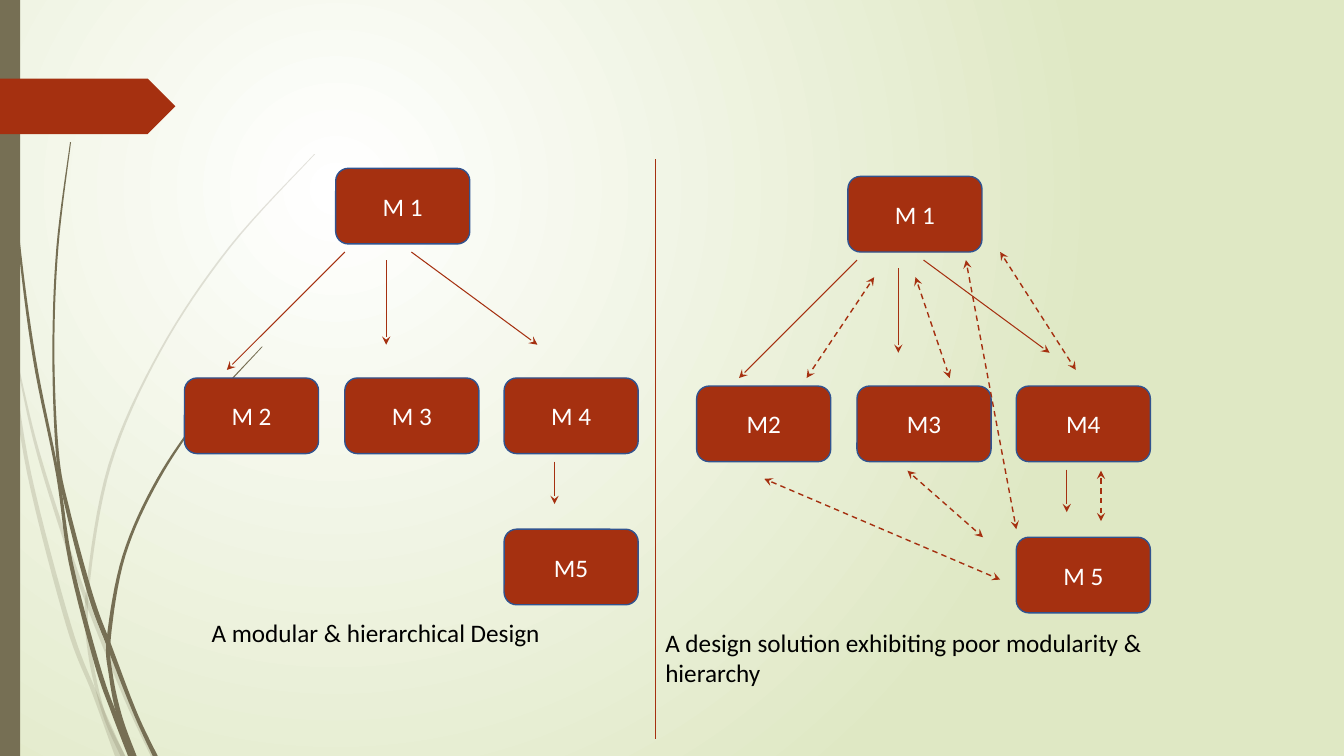
from pptx import Presentation
from pptx.util import Inches, Pt
from pptx.dml.color import RGBColor as RGB
from pptx.enum.dml import MSO_LINE as Dash
from pptx.enum.shapes import MSO_SHAPE as Shape, MSO_CONNECTOR as Conn
from pptx.enum.text import PP_ALIGN as Align, MSO_ANCHOR as Anchor
from pptx.oxml.ns import qn
from lxml.etree import SubElement as Sub

COLORS = {"rust": "A53010", "olive": "766F54", "edge": "31538F",
          "white": "FFFFFF", "black": "000000", "sage": "DFE8C4"}
FONT = "Calibri"

# Both panels share one tree: offset, box labels, caption and its box
PANELS = [
    ((0, 0), ["M 1", "M 2", "M 3", "M 4", "M5"],
     "A modular & hierarchical Design", (2, 6.08, 4, 0.4)),
    ((5.08, 0.08), ["M 1", "M2", "M3", "M4", "M 5"],
     "A design solution exhibiting poor modularity & hierarchy",
     (6.5, 6.17, 5.33, 0.71)),
]
BOX = (1.33, 0.75)
SPOTS = [(3.33, 1.67), (1.83, 3.75), (3.42, 3.75), (5, 3.75), (5, 5.25)]
CALLS = [(3.42, 2.5, 2.25, 3.67), (3.83, 2.58, 3.83, 3.42),
         (4.08, 2.5, 5.33, 3.42), (5.5, 4.58, 5.5, 5)]
# Extra two-way links of the poor design
LINKS = [(7.58, 4.75, 9.92, 5.75), (9, 4.67, 9.75, 5.33),
         (10.92, 4.67, 10.92, 5.17), (9.58, 2.58, 10.08, 5.25),
         (8.67, 2.75, 8, 3.75), (9.08, 2.75, 9.42, 3.75),
         (9.92, 2.5, 10.67, 3.67)]

# Grass blades: opacity in percent, then centre x, y and width down the blade
BLADES = [
    (20, [(0, 2.9, 0.04), (0.1, 3.47, 0.03), (0.29, 4.7, 0.04),
          (0.68, 6.2, 0.05), (0.94, 6.88, 0.05), (1.19, 7.5, 0.1)]),
    (20, [(0.14, 3.45, 0.01), (0.34, 4.35, 0.03), (0.6, 5.21, 0.04),
          (0.86, 5.96, 0.04), (1.25, 6.93, 0.04), (1.52, 7.5, 0.05)]),
    (20, [(3.12, 1.53, 0.01), (2.28, 2.45, 0.02), (1.59, 3.48, 0.02),
          (1.09, 4.61, 0.03), (0.87, 5.84, 0.03), (0.89, 6.46, 0.04),
          (1.03, 7.08, 0.03), (1.22, 7.5, 0.05)]),
    (100, [(0.03, 0, 0.01), (0.08, 1.1, 0.01), (0.18, 2.33, 0.02),
           (0.34, 3.55, 0.03), (0.57, 4.7, 0.03), (0.7, 5.57, 0.04),
           (0.96, 6.58, 0.05), (1.13, 7.07, 0.05), (1.31, 7.5, 0.08)]),
    (100, [(0.7, 1.41, 0.01), (0.57, 2.45, 0.02), (0.53, 3.49, 0.02),
           (0.57, 4.5, 0.03), (0.67, 5.05, 0.04), (0.9, 5.91, 0.05),
           (1.08, 6.4, 0.05), (1.34, 7.07, 0.04), (1.54, 7.5, 0.05)]),
    (100, [(2.6, 3.44, 0.01), (2.05, 4.05, 0.02), (1.57, 4.75, 0.03),
           (1.23, 5.51, 0.03), (1.08, 6.32, 0.04), (1.1, 6.7, 0.04),
           (1.19, 7.12, 0.05), (1.34, 7.5, 0.03)]),
]


def color(name):
    return RGB.from_string(COLORS[name])


def paint(shape, name, edge=None):
    shape.shadow.inherit = False
    shape.fill.solid()
    shape.fill.fore_color.rgb = color(name)
    if edge:
        shape.line.color.rgb = color(edge)
        shape.line.width = Pt(1)
    else:
        shape.line.fill.background()


def write(shape, text, name):
    shape.text_frame.word_wrap = True
    par = shape.text_frame.paragraphs[0]
    par.text = text
    par.font.name, par.font.size = FONT, Pt(18)
    par.font.color.rgb = color(name)
    return par


def draw(ends, heads=(), width=0.75, dash=None):
    line = shapes.add_connector(Conn.STRAIGHT, *map(Inches, ends))
    line.line.color.rgb = color("rust")
    line.line.width = Pt(width)
    if dash:
        line.line.dash_style = dash
    props = line._element.spPr
    for head in heads:
        Sub(props.find(qn("a:ln")), qn(head), type="stealth")
    Sub(props, qn("a:effectLst"))


def smooth(rows, steps=8):
    """Catmull-Rom curve through the rows."""
    pad = [rows[0], *rows, rows[-1]]
    out = []
    for a, b, c, d in zip(pad, pad[1:], pad[2:], pad[3:]):
        for i in range(steps):
            t = i / steps
            out.append([(2 * q + (r - p) * t
                         + (2 * p - 5 * q + 4 * r - s) * t ** 2
                         + (3 * q - p - 3 * r + s) * t ** 3) / 2
                        for p, q, r, s in zip(a, b, c, d)])
    return out + [rows[-1]]


def grow(rows, alpha):
    curve = smooth(rows)
    ring = [(Inches(x - w / 2), Inches(y)) for x, y, w in curve]
    ring += [(Inches(x + w / 2), Inches(y)) for x, y, w in reversed(curve)]
    pen = shapes.build_freeform(*ring[0])
    pen.add_line_segments(ring[1:], close=True)
    blade = pen.convert_to_shape()
    paint(blade, "olive")
    if alpha < 100:
        tint = blade._element.spPr.find(qn("a:solidFill"))[0]
        Sub(tint, qn("a:alpha"), val=str(alpha * 1000))


deck = Presentation()
deck.slide_width, deck.slide_height = Inches(13.33), Inches(7.5)
slide = deck.slides.add_slide(deck.slide_layouts[6])
shapes = slide.shapes

# Background: radial gradient
fill = slide.background.fill
fill.gradient()
for stop, name, pos in zip(fill.gradient_stops, ("white", "sage"), (0, 1)):
    stop.color.rgb = color(name)
    stop.position = pos
grad = next(slide.element.iter(qn("a:gradFill")))
grad.remove(grad.find(qn("a:lin")))
Sub(Sub(grad, qn("a:path"), path="circle"), qn("a:fillToRect"),
    l="50000", t="50000", r="100000", b="100000")

# Decoration on the left
for alpha, rows in BLADES:
    grow(rows, alpha)
bar = shapes.add_shape(Shape.RECTANGLE, 0, 0, Inches(0.2), Inches(7.5))
paint(bar, "olive")
tag = shapes.add_shape(Shape.PENTAGON, 0, Inches(0.78), Inches(1.74), Inches(0.55))
paint(tag, "rust")

# Module trees with captions
for (dx, dy), labels, caption, area in PANELS:
    for (x, y), label in zip(SPOTS, labels):
        box = shapes.add_shape(Shape.ROUNDED_RECTANGLE, Inches(x + dx),
                               Inches(y + dy), *map(Inches, BOX))
        paint(box, "rust", "edge")
        write(box, label, "white").alignment = Align.CENTER
        box.text_frame.vertical_anchor = Anchor.MIDDLE
    for x1, y1, x2, y2 in CALLS:
        draw((x1 + dx, y1 + dy, x2 + dx, y2 + dy), ["a:tailEnd"])
    write(shapes.add_textbox(*map(Inches, area)), caption, "black")

# Two-way links and the divider
for ends in LINKS:
    draw(ends, ["a:headEnd", "a:tailEnd"], 1, Dash.DASH)
draw((6.5, 1.58, 6.5, 7.33))

deck.save("out.pptx")
